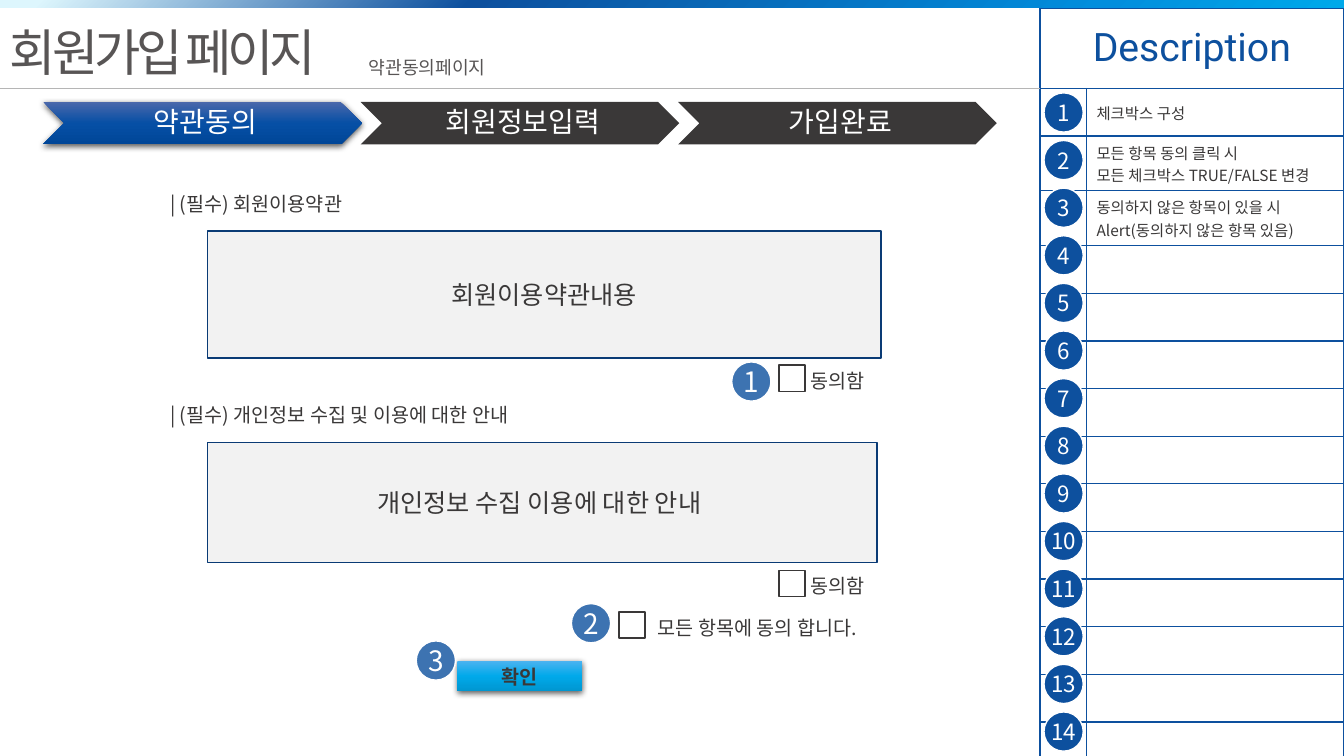
import pptx
import pptx.util
import pptx.dml.color
import pptx.enum.shapes
import pptx.enum.text
import pptx.oxml.ns
from lxml import etree

Cm, Pt = pptx.util.Cm, pptx.util.Pt
RGB = pptx.dml.color.RGBColor
SHAPE = pptx.enum.shapes.MSO_SHAPE
ALIGN = pptx.enum.text.PP_ALIGN
ANCHOR = pptx.enum.text.MSO_ANCHOR
AUTO = pptx.enum.text.MSO_AUTO_SIZE
qn = pptx.oxml.ns.qn

KR, LATIN = "Noto Sans CJK KR", "Roboto"
BLUE = RGB(0x0D, 0x50, 0x9E)
NAVY = RGB(0x0A, 0x3B, 0x75)
DARK = RGB(0x3A, 0x38, 0x38)
GRAY = RGB(0x58, 0x55, 0x55)
RULE = RGB(0xB5, 0xB5, 0xB5)
PANEL = RGB(0xF2, 0xF2, 0xF2)
WHITE = RGB(0xFF, 0xFF, 0xFF)
BAR_STOPS = [(3, RGB(0xDD, 0xF6, 0xFD)), (35, BLUE),
             (82, RGB(0x01, 0x8E, 0xDD)), (100, RGB(0x00, 0xA9, 0xEA))]
STEP_STOPS = [(0, RGB(0x4B, 0x68, 0xAB)), (50, RGB(0x06, 0x4F, 0xA5)),
              (100, RGB(0x00, 0x46, 0x98))]
BUTTON_STOPS = [(0, RGB(0x4B, 0xB3, 0xF0)), (50, RGB(0x00, 0xA9, 0xEA)),
                (100, RGB(0x00, 0x96, 0xD0))]

# Content; lengths in cm
DESCRIPTIONS = [
    "체크박스 구성",
    "모든 항목 동의 클릭 시\n모든 체크박스 TRUE/FALSE 변경",
    "동의하지 않은 항목이 있을 시\nAlert(동의하지 않은 항목 있음)",
]
STEPS = ["약관동의", "회원정보입력", "가입완료"]
HEADINGS = [  # text, top, width
    ("| (필수) 회원이용약관", 4.72, 5.79),
    ("| (필수) 개인정보 수집 및 이용에 대한 안내", 10.03, 9.83),
]
TERMS = [  # text, top, width, height
    ("회원이용약관내용", 5.82, 16.97, 3.2),
    ("개인정보 수집 이용에 대한 안내 ", 11.15, 16.87, 3.02),
]
CHECKS = [  # text, box left, box top, label width
    ("동의함", 19.63, 9.2, 2.18),
    ("동의함", 19.63, 14.38, 2.18),
    ("모든 항목에 동의 합니다.", 15.6, 15.42, 6.22),
]
MARKERS = [(18.44, 9.12), (14.4, 15.21), (10.49, 16.15)]
ROWS, ROW_H, HEAD_H = 14, 1.2, 2.03
TABLE_X, TABLE_Y, NUM_W, DESC_W = 26.21, 0.2, 1.17, 6.48
BADGE = 0.99

prs = pptx.Presentation()
prs.slide_width, prs.slide_height = Cm(33.87), Cm(19.05)
s = prs.slides.add_slide(prs.slide_layouts[6])


def write(tf, text, size, color, align=ALIGN.CENTER, font=KR, bold=False):
    tf.text = text
    for p in tf.paragraphs:
        p.alignment = align
        for r in p.runs:
            r.font.size, r.font.name, r.font.bold = Pt(size), font, bold
            r.font.color.rgb = color
            etree.SubElement(r.font._element, qn("a:ea"), typeface=font)


def add_text(text, box, size, color, align=ALIGN.LEFT, wrap=True, grow=True):
    tf = s.shapes.add_textbox(*map(Cm, box)).text_frame
    tf.word_wrap = wrap
    if grow:
        tf.auto_size = AUTO.SHAPE_TO_FIT_TEXT
    else:
        tf.vertical_anchor = ANCHOR.MIDDLE
    write(tf, text, size, color, align)
    return tf


def add_shape(kind, box, fill=None, line=None):
    sp = s.shapes.add_shape(kind, *map(Cm, box))
    sp.shadow.inherit = False
    if fill is not None:
        sp.fill.solid()
        sp.fill.fore_color.rgb = fill
    if line is None:
        sp.line.fill.background()
    else:
        sp.line.color.rgb, sp.line.width = line, Pt(1)
    return sp


def set_gradient(sp, stops, angle):
    sp.fill.gradient()
    sp.fill.gradient_angle = 360 - angle
    gs_list = sp._element.spPr.find(qn("a:gradFill")).find(qn("a:gsLst"))
    for gs in list(gs_list):
        gs_list.remove(gs)
    for pos, color in stops:
        gs = etree.SubElement(gs_list, qn("a:gs"), pos=str(pos * 1000))
        etree.SubElement(gs, qn("a:srgbClr"), val=str(color))


def set_shadow(sp):
    effects = sp._element.spPr.find(qn("a:effectLst"))
    shadow = etree.SubElement(effects, qn("a:outerShdw"), blurRad=str(Pt(4.5)),
                              dist=str(Pt(1.5)), dir="5400000", rotWithShape="0")
    color = etree.SubElement(shadow, qn("a:srgbClr"), val="000000")
    etree.SubElement(color, qn("a:alpha"), val="63000")


def add_badge(number, x, y, size, alpha=None):
    sp = add_shape(SHAPE.OVAL, (x, y, BADGE, BADGE), BLUE, WHITE)
    if alpha:
        color = sp._element.spPr.find(qn("a:solidFill"))[0]
        etree.SubElement(color, qn("a:alpha"), val=str(alpha * 1000))
    tf = sp.text_frame
    tf.margin_left = tf.margin_right = tf.margin_top = tf.margin_bottom = 0
    write(tf, str(number), size, WHITE)


def style_cell(cell):
    for side in "LRTB":
        ln = etree.SubElement(cell._tc.get_or_add_tcPr(), qn("a:ln" + side),
                              w=str(Pt(1)))
        fill = etree.SubElement(ln, qn("a:solidFill"))
        etree.SubElement(fill, qn("a:srgbClr"), val=str(BLUE))
    cell.fill.background()
    cell.vertical_anchor = ANCHOR.MIDDLE


# Description table
table = s.shapes.add_table(ROWS + 1, 2, Cm(TABLE_X), Cm(TABLE_Y), Cm(NUM_W + DESC_W),
                           Cm(HEAD_H + ROWS * ROW_H)).table
table.first_row = table.horz_banding = False
table.columns[0].width, table.columns[1].width = Cm(NUM_W), Cm(DESC_W)
for i, row in enumerate(table.rows):
    row.height = Cm(ROW_H if i else HEAD_H)
    for cell in row.cells:
        style_cell(cell)
table.cell(0, 0).merge(table.cell(0, 1))
write(table.cell(0, 0).text_frame, "Description", 28, BLUE, font=LATIN)
for i, text in enumerate(DESCRIPTIONS, 1):
    write(table.cell(i, 1).text_frame, text, 11, DARK, ALIGN.LEFT)

# Header
rule_y = Cm(TABLE_Y + HEAD_H)
rule = s.shapes.add_connector(pptx.enum.shapes.MSO_CONNECTOR.STRAIGHT,
                              0, rule_y, Cm(TABLE_X), rule_y)
rule.line.color.rgb, rule.line.width = RULE, Pt(1)
etree.SubElement(rule._element.spPr, qn("a:effectLst"))
title = add_text("회원가입 페이지", (0, 0.41, 9.09, 1.8), 36, GRAY, wrap=False)
title.paragraphs[0].runs[0].font._element.set("spc", "-300")
set_gradient(add_shape(SHAPE.RECTANGLE, (0, 0, 33.87, 0.2)), BAR_STOPS, 45)
add_text("약관동의페이지", (9.04, 1.3, 3.76, 0.81), 13, GRAY, wrap=False)

# Numbers of the table rows
for i in range(ROWS):
    add_badge(i + 1, 26.31, 2.34 + i * ROW_H, 16)

# Progress steps, the first one active
for i, step in enumerate(STEPS):
    sp = add_shape(SHAPE.CHEVRON, (1.09 + i * 8, 2.57, 8.03, 1.07), DARK)
    if i == 0:
        set_gradient(sp, STEP_STOPS, 90)
        set_shadow(sp)
    tf = sp.text_frame
    tf.margin_left = Cm(0.23)
    tf.margin_right = tf.margin_top = tf.margin_bottom = Cm(0.08)
    write(tf, step, 20, WHITE)
    tf.paragraphs[0].line_spacing = 0.9

# Terms
for text, y, w in HEADINGS:
    add_text(text, (4.04, y, w, 0.86), 14, DARK)
for text, y, w, h in TERMS:
    sp = add_shape(SHAPE.RECTANGLE, (5.23, y, w, h), PANEL, NAVY)
    write(sp.text_frame, text, 18, DARK)

# Check boxes
for text, x, y, w in CHECKS:
    add_text(text, (x + 0.38, y - 0.03, w, 0.84), 14, DARK, ALIGN.CENTER, grow=False)
    add_shape(SHAPE.RECTANGLE, (x, y, 0.66, 0.66), WHITE, DARK)

# Confirm button and markers
button = add_shape(SHAPE.RECTANGLE, (11.53, 16.66, 3.15, 0.76))
set_gradient(button, BUTTON_STOPS, 90)
set_shadow(button)
write(button.text_frame, "확인", 14, DARK, bold=True)
for i, (x, y) in enumerate(MARKERS, 1):
    add_badge(i, x, y, 20, alpha=80)

prs.save("out.pptx")
